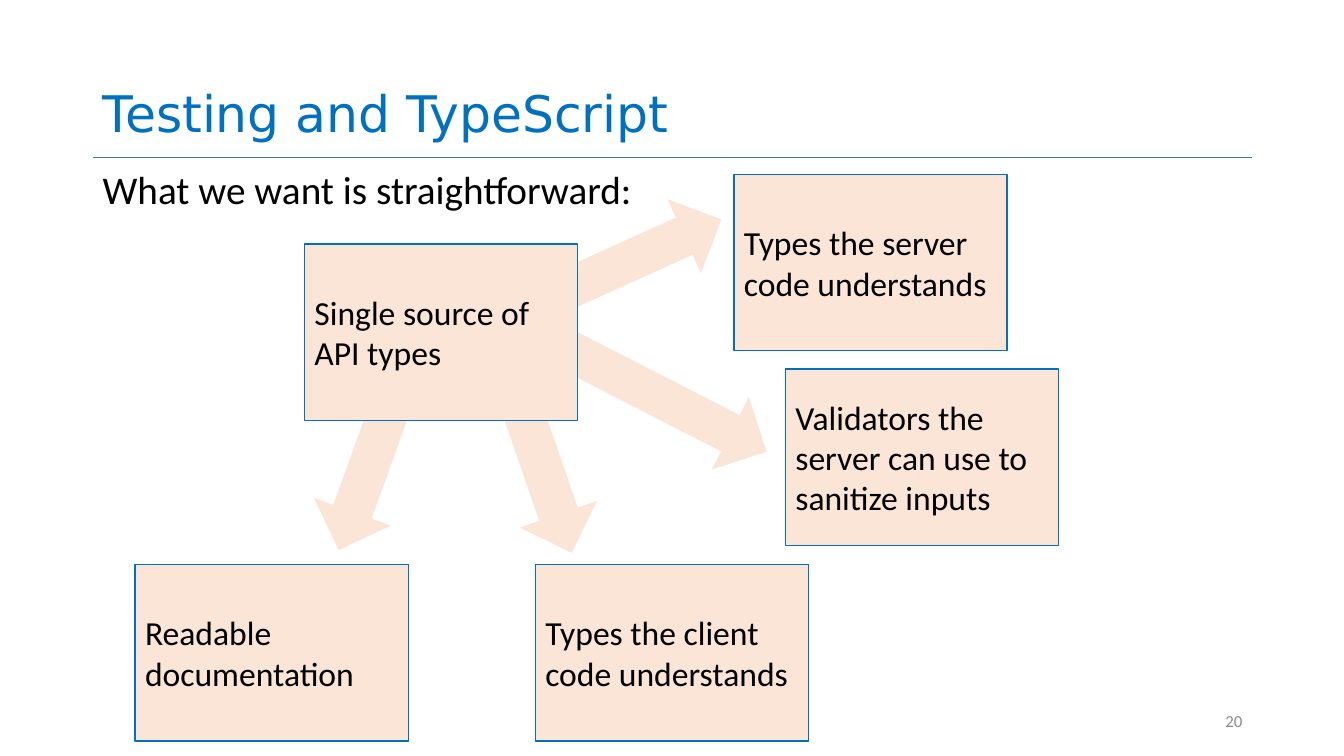
from lxml import etree
from pptx import Presentation
from pptx import util as u
from pptx.dml import color
from pptx.enum import shapes, text
from pptx.oxml import ns

BLUE = "0070C0"
PEACH = "FBE5D6"
BLACK = "000000"
BOX_WIDTH, BOX_HEIGHT = 2.71, 1.75
ARROW_HEIGHT = 0.81

ARROWS = [
    (2.33, 3.59, 3.11, 109.8),
    (3.61, 3.61, 3.11, 71),
    (5.25, 3.51, 2.49, 27.1),
    (5.54, 2.12, 1.69, -24.3),
]
BOXES = [
    (7.28, 1.73, "Types the server code understands"),
    (5.31, 5.6, "Types the client code understands"),
    (3.02, 2.42, "Single source of API types"),
    (1.34, 5.6, "Readable documentation"),
    (7.79, 3.66, "Validators the server can use to sanitize inputs"),
]


def rgb(value):
    return color.RGBColor.from_string(value)


def place(shape, *box):
    shape.left, shape.top, shape.width, shape.height = map(u.Inches, box)


def write(shape, words, size, ink, font="Calibri", anchor=text.MSO_ANCHOR.MIDDLE,
          align=text.PP_ALIGN.LEFT, spacing=1.0):
    frame = shape.text_frame
    frame.text = words
    frame.word_wrap = True
    frame.auto_size = text.MSO_AUTO_SIZE.NONE
    frame.vertical_anchor = anchor
    paragraph = frame.paragraphs[0]
    paragraph.alignment = align
    paragraph.line_spacing = spacing
    run = paragraph.runs[0]
    run.font.size = u.Pt(size)
    run.font.name = font
    run.font.color.rgb = rgb(ink)


def add_text(slide, box, words, size, ink, **options):
    shape = slide.shapes.add_textbox(*map(u.Inches, box))
    write(shape, words, size, ink, **options)


def add_rule(slide, left, right, top):
    rule = slide.shapes.add_connector(
        shapes.MSO_CONNECTOR.STRAIGHT, u.Inches(left), u.Inches(top),
        u.Inches(right), u.Inches(top))
    rule.line.color.rgb = rgb("4472C4")
    rule.line.width = u.Pt(0.5)
    etree.SubElement(rule.element.spPr, ns.qn("a:effectLst"))


def add_filled(slide, kind, *box):
    shape = slide.shapes.add_shape(kind, *map(u.Inches, box))
    shape.shadow.inherit = False
    shape.fill.solid()
    shape.fill.fore_color.rgb = rgb(PEACH)
    return shape


def add_arrow(slide, left, top, length, angle):
    arrow = add_filled(slide, shapes.MSO_SHAPE.RIGHT_ARROW,
                       left, top, length, ARROW_HEIGHT)
    arrow.line.fill.background()
    arrow.rotation = angle


def add_box(slide, left, top, words):
    box = add_filled(slide, shapes.MSO_SHAPE.RECTANGLE,
                     left, top, BOX_WIDTH, BOX_HEIGHT)
    box.line.color.rgb = rgb(BLUE)
    box.line.width = u.Pt(1)
    write(box, words, 24, BLACK)


def main():
    presentation = Presentation()
    presentation.slide_width = u.Inches(13.33)
    presentation.slide_height = u.Inches(7.5)
    slide = presentation.slides.add_slide(presentation.slide_layouts[5])

    title = slide.shapes.title
    place(title, 0.92, 0.02, 11.5, 1.45)
    write(title, "Testing and TypeScript", 36, BLUE, font="DejaVu Sans",
          anchor=text.MSO_ANCHOR.BOTTOM, spacing=0.9)
    add_rule(slide, 0.92, 12.42, 1.56)
    add_text(slide, (0.92, 1.64, 8.63, 4.76), "What we want is straightforward:",
             28, BLACK, anchor=text.MSO_ANCHOR.TOP, spacing=0.9)
    add_text(slide, (9.42, 6.95, 3, 0.4), "20", 12, "8C8C8C",
             align=text.PP_ALIGN.RIGHT)

    for arrow in ARROWS:
        add_arrow(slide, *arrow)
    for box in BOXES:
        add_box(slide, *box)

    presentation.save("out.pptx")


if __name__ == "__main__":
    main()
